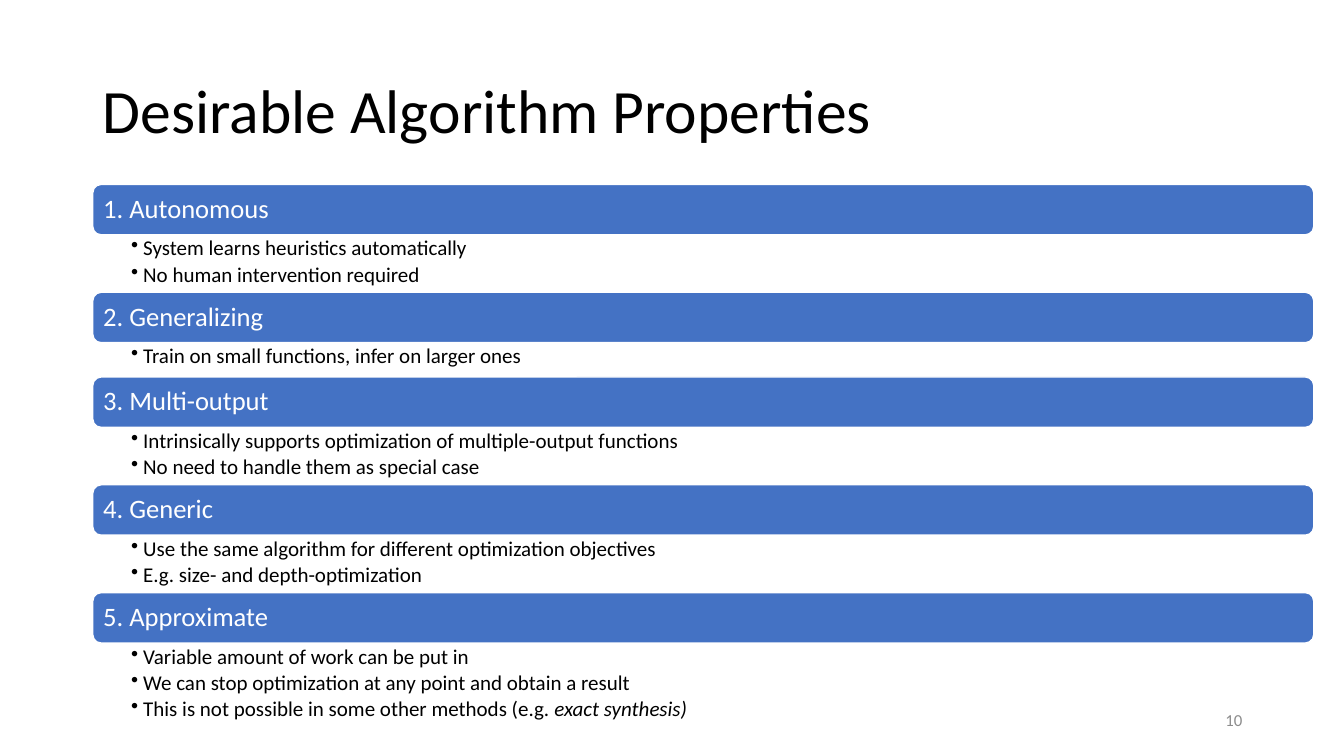
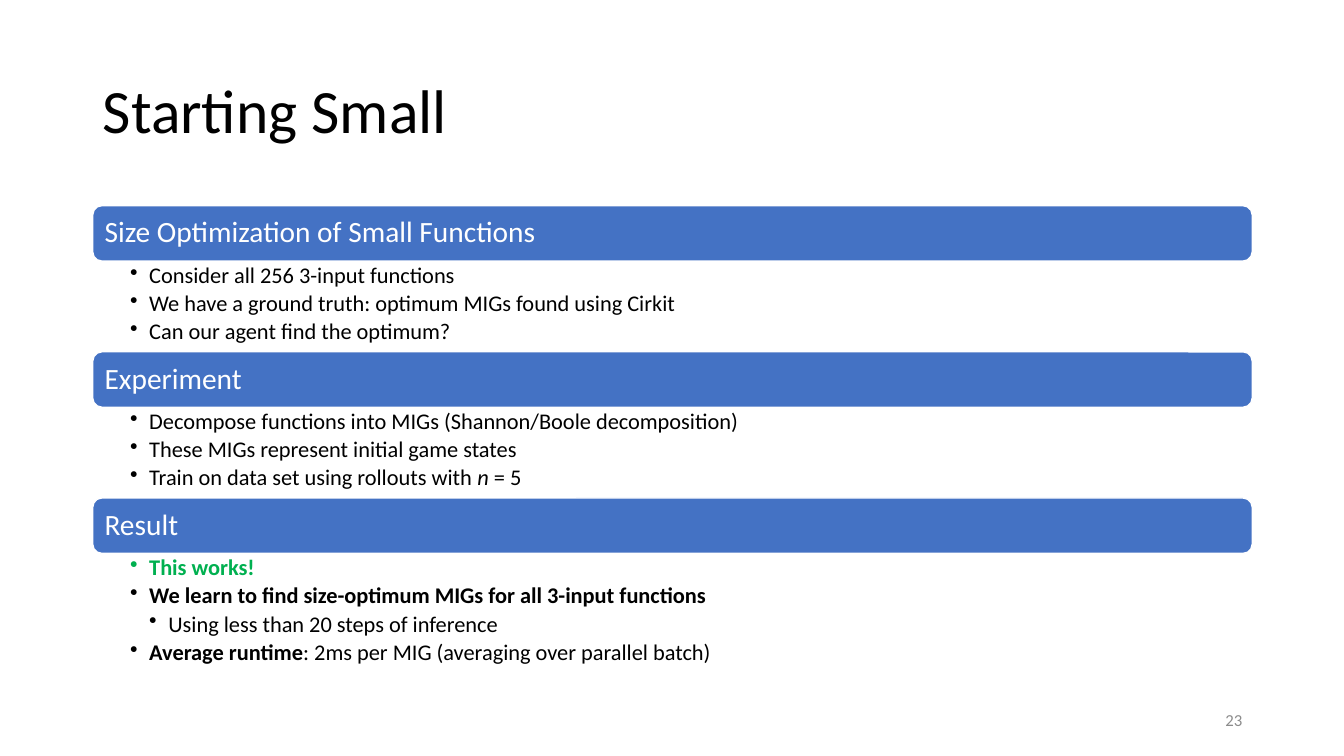
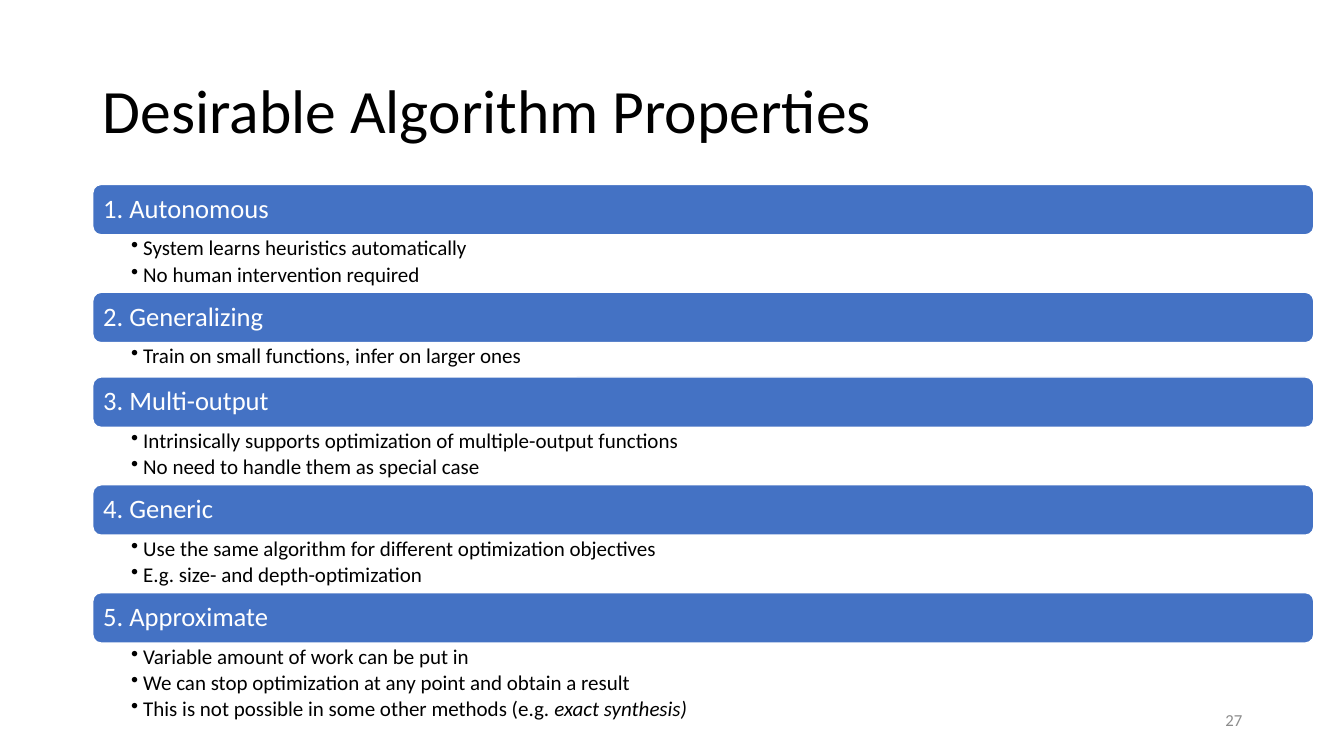
from dataclasses import dataclass, field

from lxml import etree
from pptx import Presentation
from pptx import util as u
from pptx.dml.color import RGBColor
from pptx.enum import shapes, text
from pptx.oxml import ns

PX = 9144  # EMU per px, 100 px to the inch


# Theme: colours, font, type sizes
@dataclass(frozen=True)
class Theme:
    font: str = "Calibri"
    band: str = "4472C4"
    white: str = "FFFFFF"
    ink: str = "000000"
    good: str = "00B050"
    muted: str = "8C8C8C"
    title_size: int = 44
    number_size: int = 12
    line_spacing: float = 0.9


# Measures of one kind of banded list; list heights go by bullet count
@dataclass(frozen=True)
class ListStyle:
    band_height: int
    band_inset: int
    band_size: int
    bullet_size: int
    bullet_gap: float
    hang: int
    list_insets: tuple
    list_heights: dict


@dataclass(frozen=True)
class Span:
    text: str
    bold: bool = False
    italic: bool = False
    color: str = Theme.ink


@dataclass(frozen=True)
class Bullet:
    spans: tuple
    level: int = 1


@dataclass(frozen=True)
class Section:
    heading: str
    bullets: list = field(default_factory=list)


THEME = Theme()
TITLE_BOX = (92, 40, 1150, 145)
NUMBER_BOX = (942, 695, 300, 40)

COMPACT = ListStyle(50, 8, 19, 15, 2.6, 12, (38, 3, 15, 3),
                    {1: 34, 2: 57, 3: 86})
ROOMY = ListStyle(55, 9, 21, 16, 2.9, 19, (37, 3, 16, 3),
                  {3: 90, 4: 121})


def plain(*lines):
    return [Bullet((Span(line),)) for line in lines]


PROPERTIES = [
    Section("1. Autonomous", plain(
        "System learns heuristics automatically",
        "No human intervention required")),
    Section("2. Generalizing", plain(
        "Train on small functions, infer on larger ones")),
    Section("3. Multi-output", plain(
        "Intrinsically supports optimization of multiple-output functions",
        "No need to handle them as special case")),
    Section("4. Generic", plain(
        "Use the same algorithm for different optimization objectives",
        "E.g. size- and depth-optimization")),
    Section("5. Approximate", plain(
        "Variable amount of work can be put in",
        "We can stop optimization at any point and obtain a result") + [
        Bullet((Span("This is not possible in some other methods (e.g. "),
                Span("exact synthesis)", italic=True)))]),
]

STARTING_SMALL = [
    Section("Size Optimization of Small Functions", plain(
        "Consider all 256 3-input functions",
        "We have a ground truth: optimum MIGs found using Cirkit",
        "Can our agent find the optimum?")),
    Section("Experiment", plain(
        "Decompose functions into MIGs (Shannon/Boole decomposition)",
        "These MIGs represent initial game states") + [
        Bullet((Span("Train on data set using rollouts with "),
                Span("n", italic=True), Span(" = 5")))]),
    Section("Result", [
        Bullet((Span("This works!", bold=True, color=THEME.good),)),
        Bullet((Span("We learn to find size-optimum MIGs for all "
                     "3-input functions", bold=True),)),
        Bullet((Span("Using less than 20 steps of inference"),), level=2),
        Bullet((Span("Average runtime", bold=True),
                Span(": 2ms per MIG (averaging over parallel batch)"))),
    ]),
]

# Title, slide number, list box (left, top, width), style, sections
PROPERTIES_BOX = (92, 183, 1211)
PAGES = [
    ("Desirable Algorithm Properties", 10, PROPERTIES_BOX, COMPACT, PROPERTIES),
    ("Starting Small", 23, (92, 204, 1150), ROOMY, STARTING_SMALL),
    ("Desirable Algorithm Properties", 27, PROPERTIES_BOX, COMPACT, PROPERTIES),
]


def emu(*lengths):
    return [u.Emu(length * PX) for length in lengths]


def format_run(run, size, color, bold=False, italic=False):
    font = run.font
    font.name, font.size = THEME.font, u.Pt(size)
    font.bold, font.italic = bold, italic
    font.color.rgb = RGBColor.from_string(color)


def set_frame(frame, insets, anchor):
    frame.word_wrap = True
    frame.auto_size = text.MSO_AUTO_SIZE.NONE
    frame.vertical_anchor = anchor
    (frame.margin_left, frame.margin_top,
     frame.margin_right, frame.margin_bottom) = emu(*insets)


def write_line(frame, line, size, color, align=text.PP_ALIGN.LEFT):
    frame.text = line
    para = frame.paragraphs[0]
    para.alignment = align
    para.line_spacing = THEME.line_spacing
    format_run(para.runs[0], size, color)


def add_title(page, title):
    box = page.shapes.title
    box.left, box.top, box.width, box.height = emu(*TITLE_BOX)
    set_frame(box.text_frame, (10, 5, 10, 5), text.MSO_ANCHOR.MIDDLE)
    write_line(box.text_frame, title, THEME.title_size, THEME.ink)


def add_number(page, number):
    box = page.shapes.add_textbox(*emu(*NUMBER_BOX))
    set_frame(box.text_frame, (10, 5, 10, 5), text.MSO_ANCHOR.MIDDLE)
    write_line(box.text_frame, str(number), THEME.number_size, THEME.muted,
               text.PP_ALIGN.RIGHT)


def add_band(page, left, top, width, style, heading):
    band = page.shapes.add_shape(shapes.MSO_SHAPE.ROUNDED_RECTANGLE,
                                 *emu(left, top, width, style.band_height))
    band.shadow.inherit = False
    band.fill.solid()
    band.fill.fore_color.rgb = RGBColor.from_string(THEME.band)
    band.line.color.rgb = RGBColor.from_string(THEME.white)
    band.line.width = u.Pt(1)
    set_frame(band.text_frame, (style.band_inset,) * 4, text.MSO_ANCHOR.MIDDLE)
    write_line(band.text_frame, heading, style.band_size, THEME.white)


def write_bullet(para, bullet, style):
    para.level = bullet.level
    props = para._p.get_or_add_pPr()
    props.set("marL", str(bullet.level * style.hang * PX))
    props.set("indent", str(-style.hang * PX))
    etree.SubElement(props, ns.qn("a:buChar")).set("char", "•")
    para.line_spacing = THEME.line_spacing
    para.space_after = u.Pt(style.bullet_gap)
    for span in bullet.spans:
        run = para.add_run()
        run.text = span.text
        format_run(run, style.bullet_size, span.color, span.bold, span.italic)


def add_bullets(page, left, top, width, height, style, bullets):
    box = page.shapes.add_textbox(*emu(left, top, width, height))
    frame = box.text_frame
    set_frame(frame, style.list_insets, text.MSO_ANCHOR.TOP)
    for index, bullet in enumerate(bullets):
        para = frame.add_paragraph() if index else frame.paragraphs[0]
        write_bullet(para, bullet, style)


def add_sections(page, box, style, sections):
    left, top, width = box
    for section in sections:
        add_band(page, left, top, width, style, section.heading)
        top += style.band_height
        height = style.list_heights[len(section.bullets)]
        add_bullets(page, left, top, width, height, style, section.bullets)
        top += height


def main():
    deck = Presentation()
    deck.slide_width, deck.slide_height = u.Inches(13.33), u.Inches(7.5)
    title_only = deck.slide_layouts.get_by_name("Title Only")
    for title, number, box, style, sections in PAGES:
        page = deck.slides.add_slide(title_only)
        add_title(page, title)
        add_sections(page, box, style, sections)
        add_number(page, number)
    deck.save("out.pptx")


if __name__ == "__main__":
    main()
